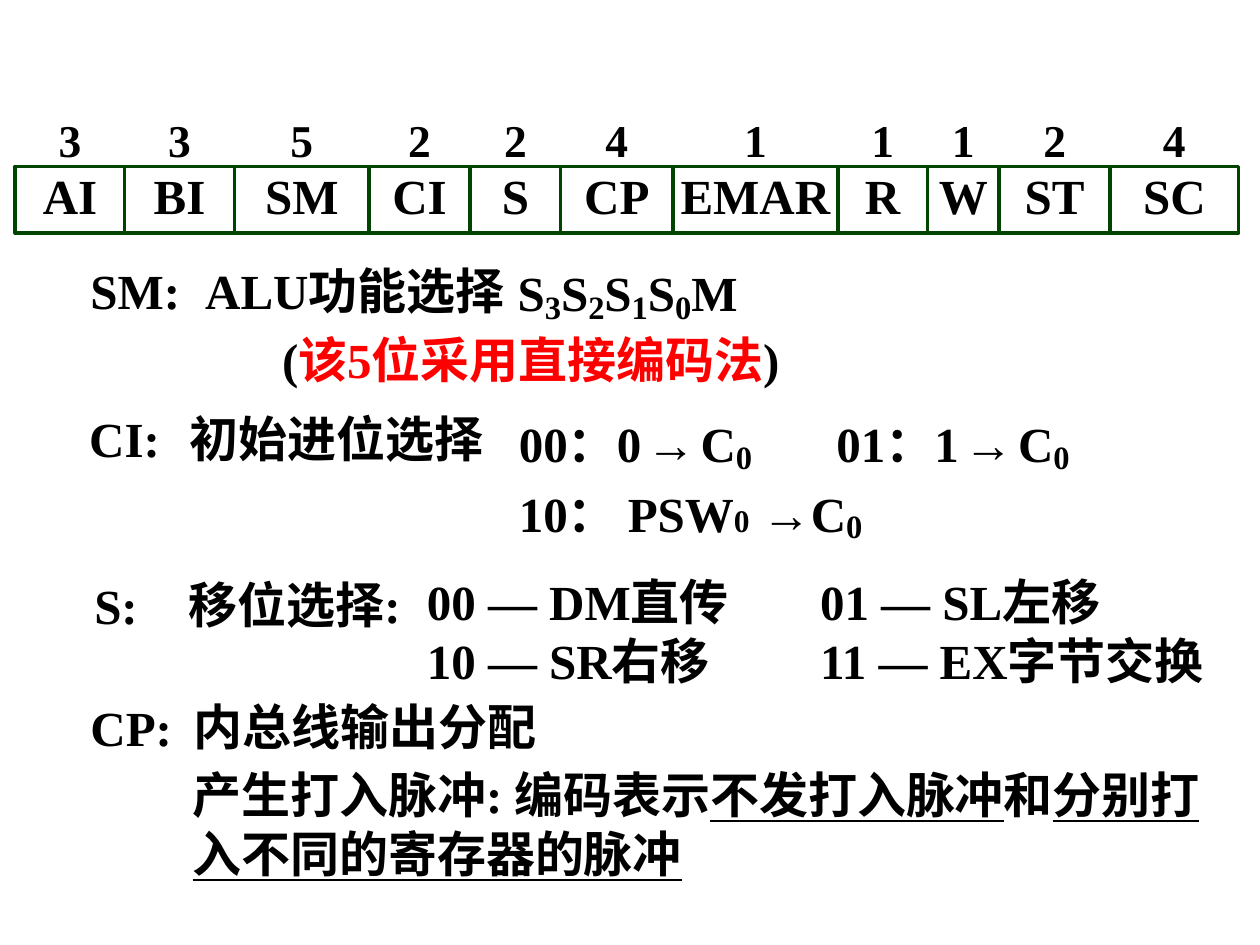
from itertools import pairwise

from lxml.etree import SubElement
from pptx import Presentation
from pptx.dml.color import RGBColor
from pptx.enum.shapes import MSO_CONNECTOR as CONN, MSO_SHAPE as SHAPE
from pptx.enum.text import MSO_ANCHOR as ANCHOR, PP_ALIGN as ALIGN
from pptx.oxml.ns import qn
from pptx.util import Inches, Pt

BLACK = RGBColor(0, 0, 0)
RED = RGBColor(255, 0, 0)
GREEN = RGBColor(0, 0x44, 0)
FONT = "Times New Roman"

FIELDS = [("AI", 3), ("BI", 3), ("SM", 5), ("CI", 2), ("S", 2), ("CP", 4),
          ("EMAR", 1), ("R", 1), ("W", 1), ("ST", 2), ("SC", 4)]
EDGES = [0, 0.87, 1.74, 2.81, 3.61, 4.33, 5.22, 6.53, 7.24, 7.81, 8.69, 9.71]


def add_tabs(p, stops, align):
    tabs = SubElement(p._p.get_or_add_pPr(), qn("a:tabLst"))
    for stop in stops:
        SubElement(tabs, qn("a:tab"), pos=str(Inches(stop)), algn=align)


def write(tf, lines, size=28, tabs=(), tab_align="l", spacing=None):
    tf.word_wrap = True
    for i, line in enumerate(lines):
        p = tf.add_paragraph() if i else tf.paragraphs[0]
        p.alignment = ALIGN.LEFT
        if spacing:
            p.line_spacing = spacing
        if tabs:
            add_tabs(p, tabs, tab_align)
        for run in [line] if isinstance(line, str) else line:
            text, style = (run, {}) if isinstance(run, str) else run
            r = p.add_run()
            r.text = text
            r.font.name = FONT
            r.font.bold = True
            r.font.size = Pt(style.get("size", size))
            r.font.color.rgb = style.get("color", BLACK)
            if style.get("underline"):
                r.font.underline = True
            if "base" in style:
                r._r.get_or_add_rPr().set("baseline", str(style["base"] * 1000))


def add_text(s, x, y, w, h, *lines, **fmt):
    sp = s.shapes.add_textbox(Inches(x), Inches(y), Inches(w), Inches(h))
    write(sp.text_frame, lines, **fmt)
    return sp


def sub(text, base):
    return text, dict(size=32, base=base)


def add_instruction_format(s, x, y, w, h):
    centers = [(a + b) / 2 for a, b in pairwise(EDGES)]
    frame = s.shapes.add_shape(SHAPE.RECTANGLE, Inches(x), Inches(y), Inches(w), Inches(h))
    frame.shadow.inherit = False
    frame.fill.background()
    frame.line.color.rgb = GREEN
    frame.line.width = Pt(2)
    frame.text_frame.margin_left = 0
    frame.text_frame.margin_right = 0
    frame.text_frame.vertical_anchor = ANCHOR.MIDDLE
    names = "".join(f"\t{name}" for name, _ in FIELDS)
    write(frame.text_frame, [names], tabs=centers, tab_align="ctr", spacing=0.85)

    for edge in EDGES[1:-1]:
        divider = s.shapes.add_connector(CONN.STRAIGHT, Inches(x + edge), Inches(y),
                                         Inches(x + edge), Inches(y + h))
        divider.line.color.rgb = GREEN
        divider.line.width = Pt(2)
        SubElement(divider._element.spPr, qn("a:effectLst"))

    widths = "".join(f"\t{bits}" for _, bits in FIELDS)
    bits_box = add_text(s, x, y - 0.48, 9.88, h, widths,
                        size=26, tabs=centers, tab_align="ctr")
    bits_box.text_frame.margin_left = 0


def add_alu_field(s, x, y):
    add_text(s, x, y, 1.33, 0.57, "SM:")
    add_text(s, x + 0.91, y, 3.08, 0.57, "ALU功能选择")
    signals = [run for n in "3210" for run in ("S", sub(n, -14))]
    add_text(s, x + 3.39, y - 0.04, 2.92, 0.63, signals + ["M"])
    add_text(s, x + 1.52, y + 0.55, 5.84, 0.57,
             ["(", ("该5位采用直接编码法", dict(color=RED)), ")"])


def add_carry_field(s, x, y):
    add_text(s, x, y, 1.18, 0.57, "CI:")
    add_text(s, x + 0.8, y, 3.13, 0.57, "初始进位选择")
    thin = (" ", dict(size=12))
    to_carry = [thin, "→", thin, "C", sub("0", -12)]
    add_text(s, x + 3.41, y - 0.01, 4.81, 1.18,
             ["00：0", *to_carry, "\t01：1", *to_carry],
             ["10： PSW", ("0", dict(size=18)), " →C", sub("0", -12)],
             tabs=[2.52])


def add_shift_field(s, x, y):
    add_text(s, x, y, 1.33, 0.57, "S:")
    add_text(s, x + 0.75, y - 0.01, 1.99, 0.57, "移位选择:")
    add_text(s, x + 2.64, y - 0.03, 6.51, 1.03,
             "00 — DM直传\t01 — SL左移",
             "10 — SR右移\t11 — EX字节交换", tabs=[3.12])


def add_pulse_field(s, x, y):
    add_text(s, x, y, 1.14, 0.57, "CP:")
    add_text(s, x + 0.82, y - 0.01, 3.4, 0.57, "内总线输出分配")
    line = dict(underline=True)
    add_text(s, x + 0.81, y + 0.53, 8.37, 1.03,
             ["产生打入脉冲: 编码表示", ("不发打入脉冲", line), "和",
              ("分别打入不同的寄存器的脉冲", line)])


def main():
    prs = Presentation()
    prs.slide_width = Inches(10)
    prs.slide_height = Inches(7.5)
    s = prs.slides.add_slide(prs.slide_layouts[6])
    add_alu_field(s, 0.62, 2.02)
    add_carry_field(s, 0.61, 3.19)
    add_shift_field(s, 0.65, 4.52)
    add_pulse_field(s, 0.62, 5.49)
    add_instruction_format(s, 0.12, 1.32, 9.71, 0.53)
    prs.save("out.pptx")


if __name__ == "__main__":
    main()
